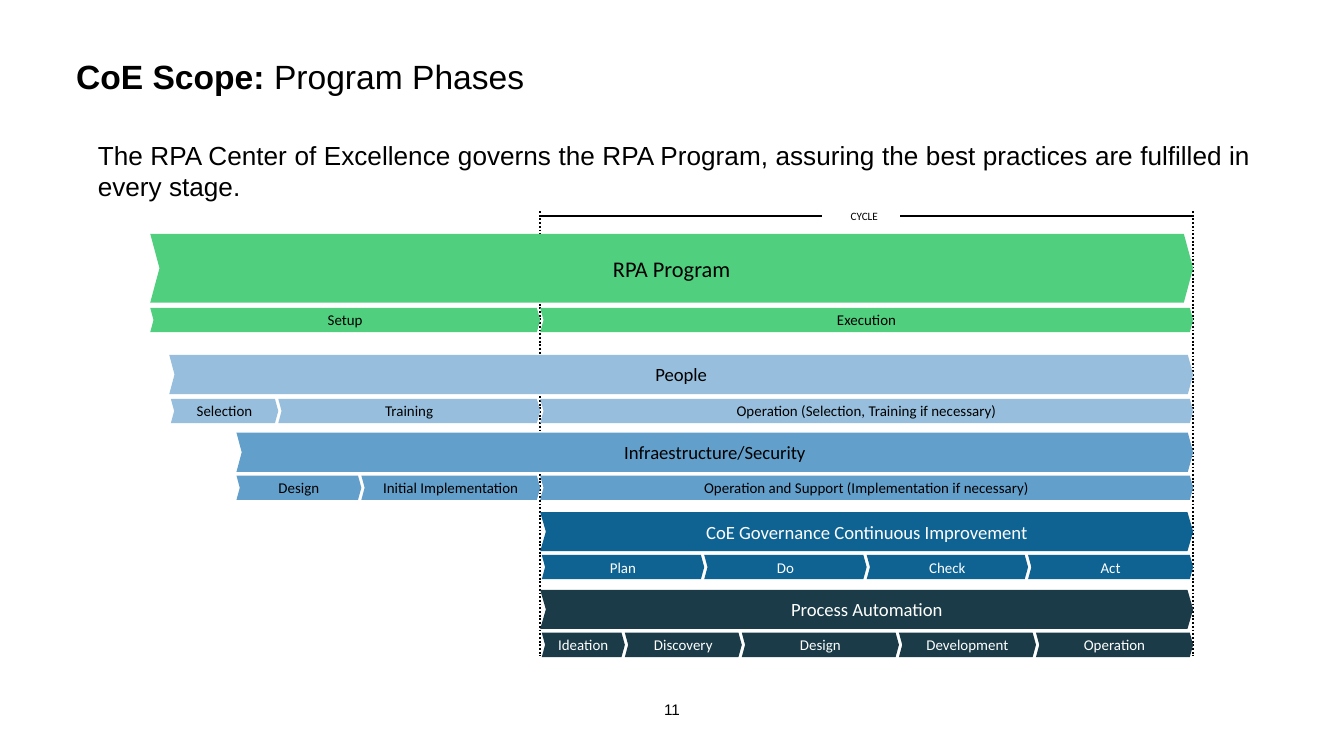
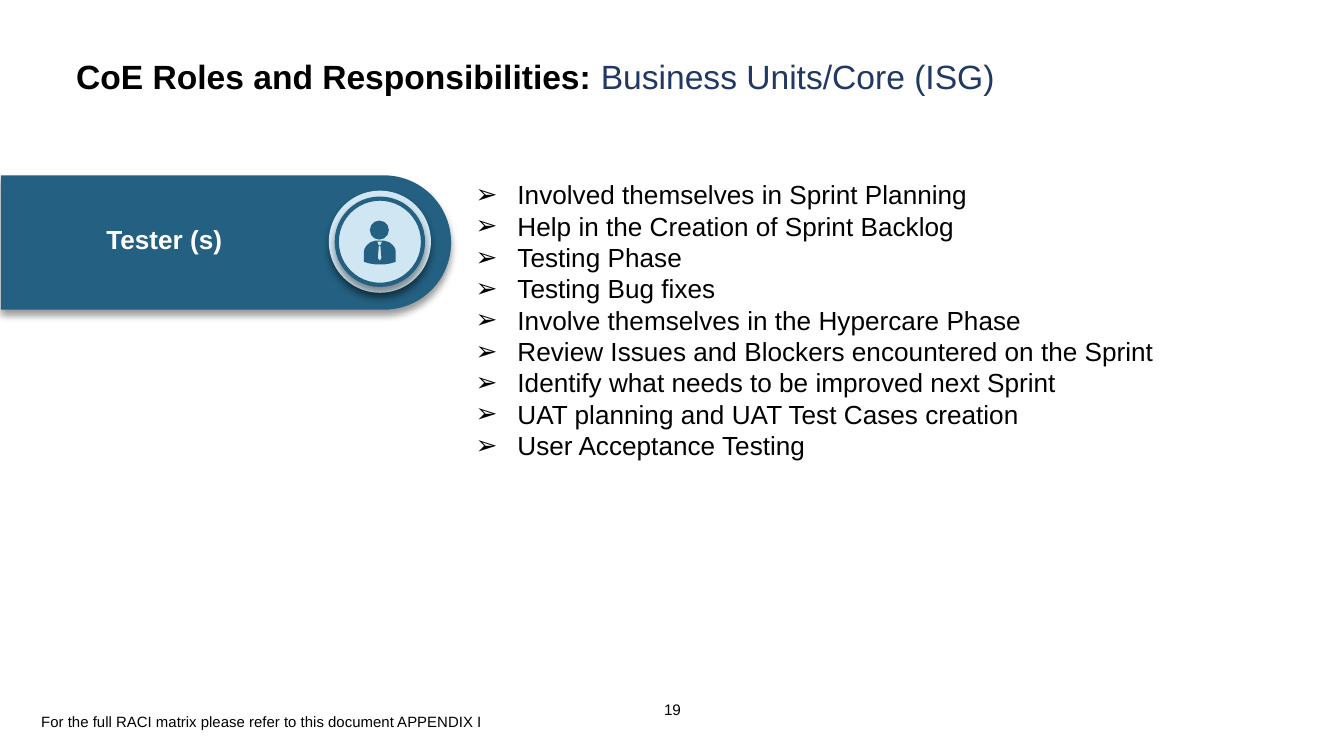
from dataclasses import dataclass

from lxml.etree import SubElement
from pptx import Presentation
from pptx.dml.color import RGBColor as Rgb
from pptx.enum.dml import MSO_LINE as Dash
from pptx.enum.shapes import MSO_CONNECTOR as Connector, MSO_SHAPE as Shape
from pptx.enum.text import MSO_ANCHOR as Anchor, PP_ALIGN as Align
from pptx.oxml.ns import qn
from pptx.util import Cm, Pt


@dataclass(frozen=True)
class Theme:
    black: str = "000000"
    white: str = "FFFFFF"
    navy: str = "203864"
    green: str = "50D07E"
    pale_blue: str = "97BFDD"
    mid_blue: str = "639FCB"
    deep_blue: str = "0E6392"
    dark_teal: str = "1A3B47"
    role_blue: str = "236081"
    badge_blue: str = "D0E6F2"
    body_font: str = "Arial"
    chart_font: str = "Calibri"
    title_size: float = 18
    text_size: float = 14
    program_size: float = 12
    band_size: float = 10
    note_size: float = 8
    number_size: float = 8.2
    cycle_size: float = 6


theme = Theme()


def write(box, paragraphs, size, color=theme.black, font=theme.body_font,
          align=Align.LEFT, inset=None, **frame_formats):
    """Fill a shape with paragraphs, each a list of (text, bold, color or None)."""
    frame = box.text_frame
    formats = {"word_wrap": True, **frame_formats}
    if inset is not None:
        for side in ("left", "top", "right", "bottom"):
            formats[f"margin_{side}"] = Cm(inset)
    for name, value in formats.items():
        setattr(frame, name, value)
    for index, spans in enumerate(paragraphs):
        para = frame.add_paragraph() if index else frame.paragraphs[0]
        para.alignment = align
        for text, bold, span_color in spans:
            span = para.add_run()
            span.text = text
            for name, value in {"name": font, "size": Pt(size), "bold": bold}.items():
                setattr(span.font, name, value)
            span.font.color.rgb = Rgb.from_string(span_color or color)


def paint(shape, fill, raised=False):
    """Give a shape a plain fill and no line; a raised one casts a soft shadow."""
    shape.fill.solid()
    shape.fill.fore_color.rgb = Rgb.from_string(fill)
    shape.line.fill.background()
    shape.shadow.inherit = False
    if raised:
        effects = shape._element.spPr.find(qn("a:effectLst"))
        shadow = SubElement(effects, qn("a:outerShdw"), blurRad=str(Pt(4)), dist=str(Pt(3)),
                            dir="5400000", algn="t", rotWithShape="0")
        tint = SubElement(shadow, qn("a:srgbClr"), val=theme.black)
        SubElement(tint, qn("a:alpha"), val="40000")
    return shape


deck = Presentation()
deck.slide_width, deck.slide_height = Cm(25.4), Cm(14.29)

# Shared title and page number
titles = [
    ("11", "CoE Scope: ", "Program Phases", theme.black),
    ("19", "CoE Roles and Responsibilities: ", "Business Units/Core (ISG)", theme.navy),
]
pages = []
for number, topic, subject, subject_color in titles:
    page = deck.slides.add_slide(deck.slide_layouts[6])
    pages.append(page)
    box = page.shapes.add_textbox(Cm(12.55), Cm(13.23), Cm(0.51), Cm(0.36))
    write(box, [[(number, False, None)]], theme.number_size, inset=0, word_wrap=False)
    box = page.shapes.add_textbox(Cm(1.19), Cm(0.81), Cm(22.94), Cm(1.27))
    write(box, [[(topic, True, None), (subject, False, subject_color)]],
          theme.title_size, inset=0.25)
phases_page, roles_page = pages

# Program phases
box = phases_page.shapes.add_textbox(Cm(1.6), Cm(2.51), Cm(22.3), Cm(1.45))
statement = ("The RPA Center of Excellence governs the RPA Program, "
             "assuring the best practices are fulfilled in every stage.")
write(box, [[(statement, False, None)]], theme.text_size, align=Align.JUSTIFY)

cycle_start, cycle_end = 10.2, 22.55
cycle_lines = [
    (cycle_start, 4.09, cycle_end, 4.09, Dash.SOLID),
    (cycle_start, 3.99, cycle_start, 12.4, Dash.ROUND_DOT),
    (cycle_end, 3.99, cycle_end, 12.4, Dash.ROUND_DOT),
]
for *ends, dash in cycle_lines:
    line = phases_page.shapes.add_connector(Connector.STRAIGHT, *map(Cm, ends))
    line.line.color.rgb = Rgb.from_string(theme.black)
    line.line.width = Pt(1)
    line.line.dash_style = dash
    SubElement(line._element.spPr, qn("a:effectLst"))

# Each band: name, left, top, height, size, fill, text color, notch, stage top, stages
bands = [
    ("RPA Program", 2.84, 4.42, 1.3, theme.program_size, theme.green, theme.black, 0.135,
     5.82, [("Setup", 2.84), ("Execution", 10.21)]),
    ("People", 3.2, 6.71, 0.74, theme.band_size, theme.pale_blue, theme.black, 0.135,
     7.54, [("Selection", 3.23), ("Training", 5.26),
            ("Operation (Selection, Training if necessary)", 10.21)]),
    ("Infraestructure/Security", 4.47, 8.18, 0.74, theme.band_size, theme.mid_blue,
     theme.black, 0.135,
     8.99, [("Design", 4.47), ("Initial Implementation", 6.83),
            ("Operation and Support (Implementation if necessary)", 10.21)]),
    ("CoE Governance Continuous Improvement", 10.21, 9.68, 0.74, theme.band_size,
     theme.deep_blue, theme.white, 0.145,
     10.49, [("Plan", 10.24), ("Do", 13.31), ("Check", 16.38), ("Act", 19.43)]),
    ("Process Automation", 10.21, 11.15, 0.74, theme.band_size, theme.dark_teal,
     theme.white, 0.145,
     11.96, [("Ideation", 10.24), ("Discovery", 11.81), ("Design", 14.02),
             ("Development", 16.99), ("Operation", 19.58)]),
]
for name, left, top, height, size, fill, color, notch, stage_top, stages in bands:
    chevrons = [(name, left, top, cycle_end, height, size, notch)]
    stage_ends = [start for _, start in stages[1:]] + [cycle_end]
    for (stage, start), end in zip(stages, stage_ends):
        chevrons.append((stage, start, stage_top, end, 0.46, theme.note_size, 0.135))
    for text, start, y, end, tall, text_size, point in chevrons:
        chevron = phases_page.shapes.add_shape(
            Shape.CHEVRON, Cm(start), Cm(y), Cm(end - start), Cm(tall))
        chevron.adjustments[0] = point
        write(paint(chevron, fill), [[(text, False, None)]], text_size, color,
              theme.chart_font, Align.CENTER, inset=0, vertical_anchor=Anchor.MIDDLE)

gap = phases_page.shapes.add_shape(Shape.RECTANGLE, Cm(15.54), Cm(3.96), Cm(1.47), Cm(0.15))
paint(gap, theme.white)
box = phases_page.shapes.add_textbox(Cm(15.65), Cm(3.84), Cm(1.37), Cm(0.61))
write(box, [[("CYCLE", False, None)]], theme.cycle_size, font=theme.chart_font,
      align=Align.CENTER)

# Roles and responsibilities
duties = [
    "Involved themselves in Sprint Planning",
    "Help in the Creation of Sprint Backlog",
    "Testing Phase",
    "Testing Bug fixes",
    "Involve themselves in the Hypercare Phase",
    "Review Issues and Blockers encountered on the Sprint",
    "Identify what needs to be improved next Sprint",
    "UAT planning and UAT Test Cases creation",
    "User Acceptance Testing",
]
box = roles_page.shapes.add_textbox(Cm(8.74), Cm(3.25), Cm(15.8), Cm(5.64))
write(box, [[(duty, False, None)] for duty in duties], theme.text_size)
for para in box.text_frame.paragraphs:
    properties = para._p.get_or_add_pPr()
    properties.set("marL", str(Cm(0.79)))
    properties.set("indent", str(-Cm(0.79)))
    bullet_color = SubElement(properties, qn("a:buClr"))
    SubElement(bullet_color, qn("a:srgbClr"), val=theme.black)
    SubElement(properties, qn("a:buFont"), typeface=theme.body_font)
    SubElement(properties, qn("a:buChar"), char="➢")

box = roles_page.shapes.add_textbox(Cm(0.53), Cm(13.34), Cm(9.83), Cm(0.61))
note = "For the full RACI matrix please refer to this document APPENDIX I"
write(box, [[(note, False, None)]], theme.note_size)

role_tab = roles_page.shapes.add_shape(
    Shape.ROUND_2_SAME_RECTANGLE, Cm(3), Cm(0.33), Cm(2.54), Cm(8.51))
role_tab.rotation = 90
role_tab.adjustments[0], role_tab.adjustments[1] = 0.5, 0
paint(role_tab, theme.role_blue, raised=True)

badge_x, badge_y = 7.18, 4.57
for diameter in (1.93, 1.63):
    disc = roles_page.shapes.add_shape(
        Shape.OVAL, Cm(badge_x - diameter / 2), Cm(badge_y - diameter / 2),
        Cm(diameter), Cm(diameter))
    paint(disc, theme.badge_blue, raised=True)
disc.line.color.rgb = Rgb.from_string(theme.role_blue)
disc.line.width = Pt(2.25)

head = roles_page.shapes.add_shape(Shape.OVAL, Cm(6.99), Cm(4.17), Cm(0.36), Cm(0.36))
paint(head, theme.role_blue)

# Outlines in hundredths of a centimetre: torso, tie knot, tie blade
torso, *tie = [
    [(709, 455), (726, 455), (736, 458), (743, 464), (747, 470), (748, 476), (748, 495),
     (738, 498), (726, 500), (711, 500), (698, 498), (688, 495), (688, 476), (689, 470),
     (693, 464), (700, 458)],
    [(713, 457), (722, 457), (719, 464), (716, 464)],
    [(716, 465), (719, 465), (721, 488), (718, 493), (714, 488)],
]
outline = roles_page.shapes.build_freeform(*torso[0], scale=Cm(0.01))
outline.add_line_segments(torso[1:])
for start, *rest in tie:
    outline.move_to(*start)
    outline.add_line_segments(rest)
paint(outline.convert_to_shape(), theme.role_blue)

box = roles_page.shapes.add_textbox(Cm(0.97), Cm(4.09), Cm(4.27), Cm(0.86))
write(box, [[("Tester (s)", True, None)]], theme.text_size, theme.white, align=Align.CENTER)

deck.save("out.pptx")
